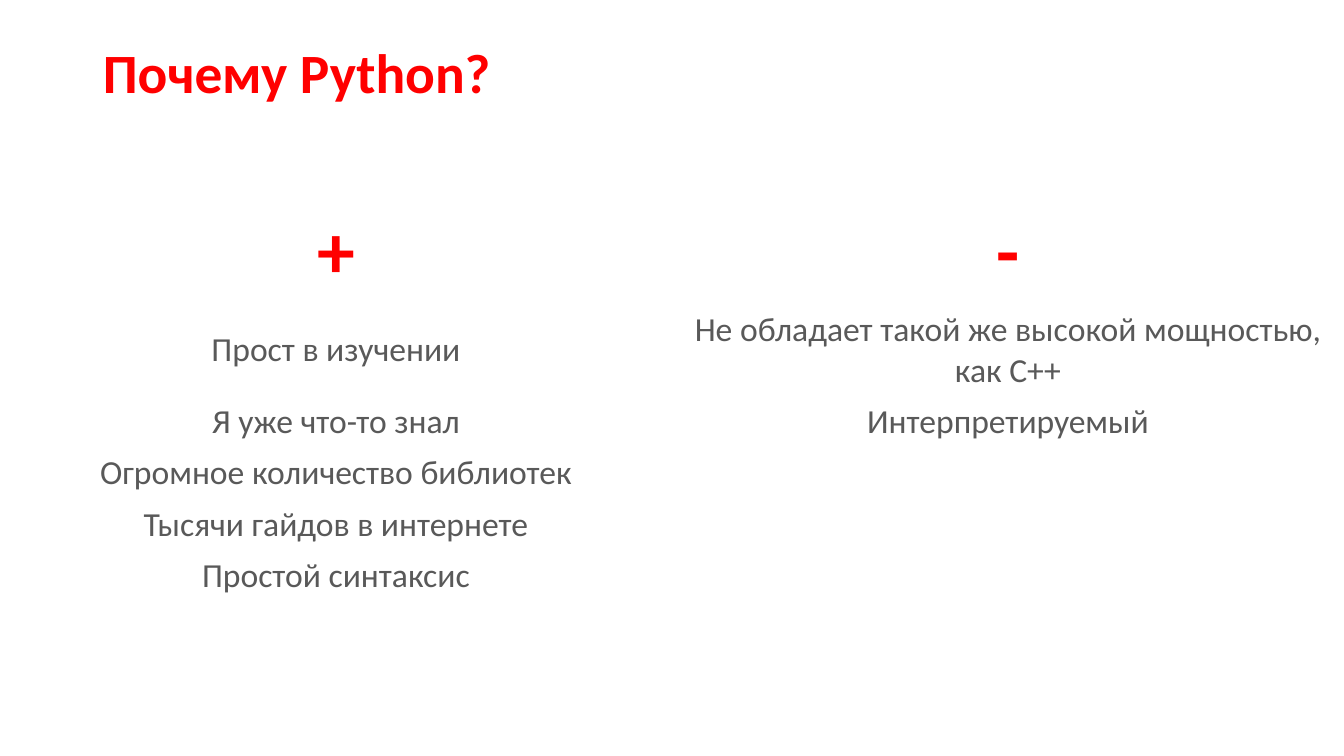
from itertools import zip_longest

from pptx import Presentation
from pptx.dml.color import RGBColor
from pptx.enum.text import MSO_ANCHOR, PP_ALIGN
from pptx.util import Inches, Pt

COLORS = {"accent": "FF0000", "body": "595959", "background": "FFFFFF"}
FONT = "Calibri"
SLIDE_WIDTH = 13.33
HEADER_HEIGHT, TWO_LINE_HEIGHT, LINE_HEIGHT = 1.02, 0.91, 0.51

PROS = [
    "Прост в изучении",
    "Я уже что-то знал",
    "Огромное количество библиотек",
    "Тысячи гайдов в интернете",
    "Простой синтаксис",
]
CONS = [
    "Не обладает такой же высокой мощностью, как C++",
    "Интерпретируемый",
]


def format_paragraph(paragraph, size, color, bold):
    for run in paragraph.runs:
        run.font.name = FONT
        run.font.size = Pt(size)
        run.font.bold = bold
        run.font.color.rgb = RGBColor.from_string(COLORS[color])


def add_title(slide, wording):
    title = slide.shapes.title
    title.left, title.top = Inches(0.92), Inches(0.4)
    title.width, title.height = Inches(11.5), Inches(0.69)
    title.text_frame.text = wording
    title.text_frame.vertical_anchor = MSO_ANCHOR.MIDDLE
    heading = title.text_frame.paragraphs[0]
    heading.alignment = PP_ALIGN.LEFT
    heading.line_spacing = 0.9
    format_paragraph(heading, 39.6, "accent", True)


def fill_cell(cell, wording, is_header):
    cell.fill.solid()
    cell.fill.fore_color.rgb = RGBColor.from_string(COLORS["background"])
    cell.vertical_anchor = MSO_ANCHOR.MIDDLE
    cell.text_frame.text = wording
    paragraph = cell.text_frame.paragraphs[0]
    paragraph.alignment = PP_ALIGN.CENTER
    if is_header:
        format_paragraph(paragraph, 54, "accent", True)
    else:
        format_paragraph(paragraph, 24, "body", False)


def add_comparison(slide, pros, cons):
    arguments = [("+", "-"), *zip_longest(pros, cons, fillvalue="")]
    heights = [HEADER_HEIGHT, TWO_LINE_HEIGHT]
    heights += [LINE_HEIGHT] * (len(arguments) - len(heights))
    comparison = slide.shapes.add_table(
        len(arguments), 2, Inches(0), Inches(2),
        Inches(SLIDE_WIDTH), Inches(sum(heights)),
    ).table
    for row_index, (pair, height) in enumerate(zip(arguments, heights)):
        comparison.rows[row_index].height = Inches(height)
        for column_index, wording in enumerate(pair):
            fill_cell(comparison.cell(row_index, column_index), wording, row_index == 0)


def main():
    presentation = Presentation()
    presentation.slide_width = Inches(SLIDE_WIDTH)
    presentation.slide_height = Inches(7.5)
    slide = presentation.slides.add_slide(presentation.slide_layouts[5])
    add_title(slide, "Почему Python?")
    add_comparison(slide, PROS, CONS)
    presentation.save("out.pptx")


if __name__ == "__main__":
    main()
